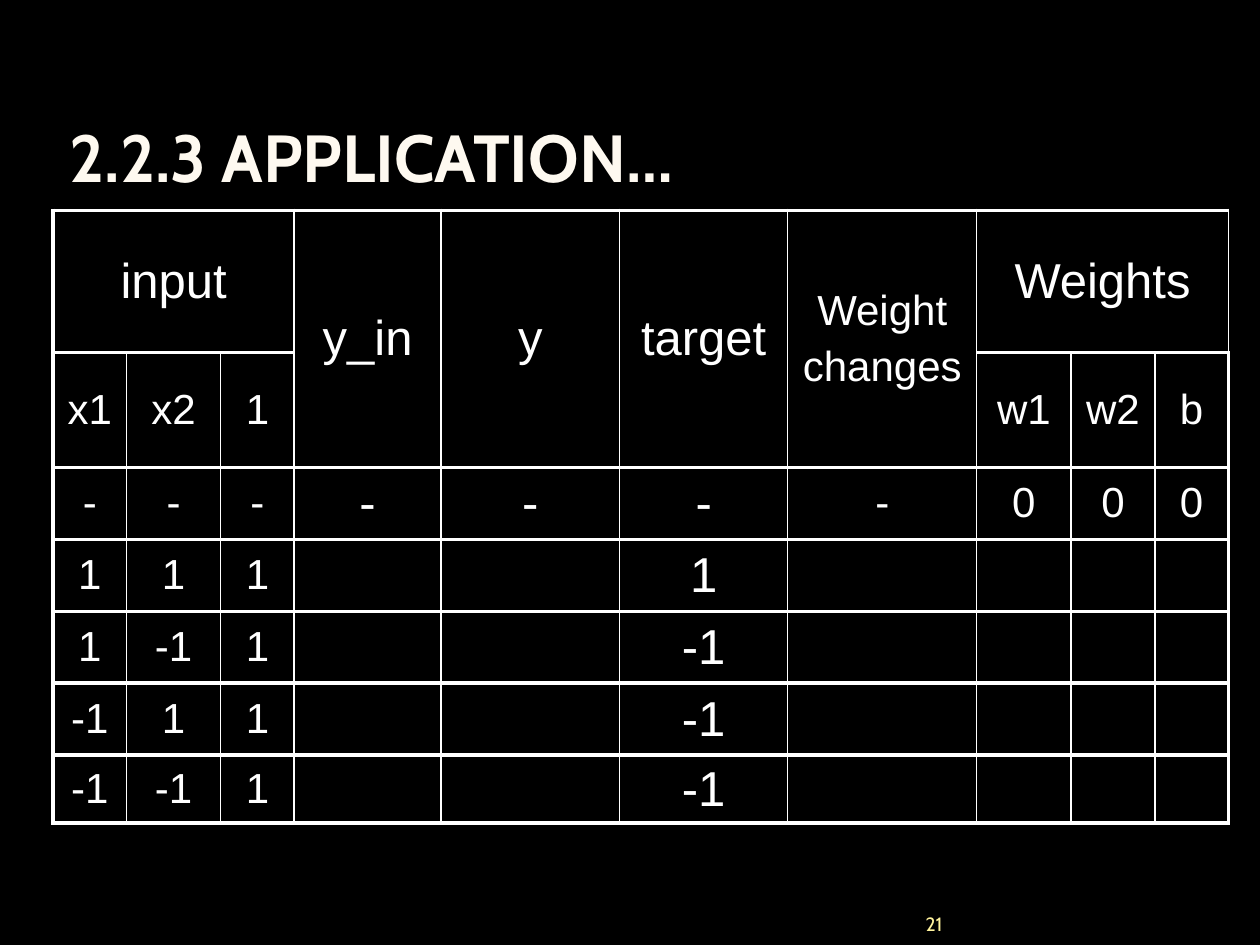
import pptx
import pptx.util
import pptx.dml.color
import pptx.enum.text
import pptx.oxml
import pptx.oxml.ns

Cm, Pt = pptx.util.Cm, pptx.util.Pt
Align = pptx.enum.text.PP_ALIGN
Anchor = pptx.enum.text.MSO_ANCHOR

title = "2.2.3 APPLICATION…"
number = "21"
rows = [
    ["input", "", "", "y_in", "y", "target", "Weight\nchanges", "Weights", "", ""],
    ["x1", "x2", "1", "", "", "", "", "w1", "w2", "b"],
    ["-"] * 7 + ["0"] * 3,
    ["1", "1", "1", "", "", "1", "", "", "", ""],
    ["1", "-1", "1", "", "", "-1", "", "", "", ""],
    ["-1", "1", "1", "", "", "-1", "", "", "", ""],
    ["-1", "-1", "1", "", "", "-1", "", "", "", ""],
]
widths = [1.48, 1.9, 1.48, 2.96, 3.6, 3.39, 3.81, 1.9, 1.69, 1.48]
heights = [2.87, 2.29] + [1.45] * 4 + [1.37]
spans = [(0, 0, 0, 2), (0, 7, 0, 9)] + [(0, c, 1, c) for c in range(3, 7)]
thin, thick = 1, 2.25


def color(code):
    return pptx.dml.color.RGBColor.from_string(code)


def style(para, name, size, code, align, bold=False):
    para.font.name = name
    para.font.size = Pt(size)
    para.font.bold = bold
    para.font.color.rgb = color(code)
    para.alignment = align


def place(shape, left, top, width, height):
    shape.left, shape.top = Cm(left), Cm(top)
    shape.width, shape.height = Cm(width), Cm(height)


def inset(frame, side):
    frame.margin_left = frame.margin_right = Cm(side)
    frame.margin_top = frame.margin_bottom = 0
    frame.vertical_anchor = Anchor.BOTTOM
    frame.word_wrap = True
    frame.auto_size = pptx.enum.text.MSO_AUTO_SIZE.NONE


def border(cell, sides):
    props = cell._tc.get_or_add_tcPr()
    for spot, (side, width) in enumerate(sides.items()):
        props.insert(spot, pptx.oxml.parse_xml(
            f'<a:ln{side} {pptx.oxml.ns.nsdecls("a")} w="{int(Pt(width))}">'
            '<a:solidFill><a:srgbClr val="FFFFFF"/></a:solidFill>'
            f'</a:ln{side}>'))


deck = pptx.Presentation()
deck.slide_width, deck.slide_height = Cm(25.4), Cm(19.05)
slide = deck.slides.add_slide(deck.slide_layouts[5])
slide.background.fill.solid()
slide.background.fill.fore_color.rgb = color("000000")

head = slide.shapes.title
place(head, 1.27, 0.76, 22.86, 3.18)
head.text_frame.text = title
inset(head.text_frame, 0.13)
style(head.text_frame.paragraphs[0], "Cabin", 38, "FEF9F0", Align.LEFT, True)

table = slide.shapes.add_table(
    len(rows), len(widths), Cm(1.07), Cm(4.24),
    Cm(sum(widths)), Cm(sum(heights))).table
table.first_row = table.horz_banding = False
for col, width in zip(table.columns, widths):
    col.width = Cm(width)
for row, height in zip(table.rows, heights):
    row.height = Cm(height)

last = len(widths) - 1
for r, row in enumerate(rows):
    for c, text in enumerate(row):
        cell = table.cell(r, c)
        cell.fill.background()
        cell.vertical_anchor = Anchor.MIDDLE
        border(cell, {"L": thick if c == 0 else thin,
                      "R": thick if c == last else thin,
                      "T": thick, "B": thick})
        if not text:
            continue
        cell.text_frame.text = text
        large = c != 6 and (r == 0 or c in (3, 4, 5))
        for i, para in enumerate(cell.text_frame.paragraphs):
            style(para, "Arial", 28 if large else 24, "FFFFFF", Align.CENTER)
            if i:
                para.space_before = Pt(4.8)
for top, left, low, right in spans:
    table.cell(top, left).merge(table.cell(low, right))

page = slide.shapes.add_textbox(Cm(17.37), Cm(18.21), Cm(1.63), Cm(0.64))
page.text_frame.text = number
inset(page.text_frame, 0)
style(page.text_frame.paragraphs[0], "Cabin", 11, "FFF39D", Align.RIGHT)

deck.save("out.pptx")
